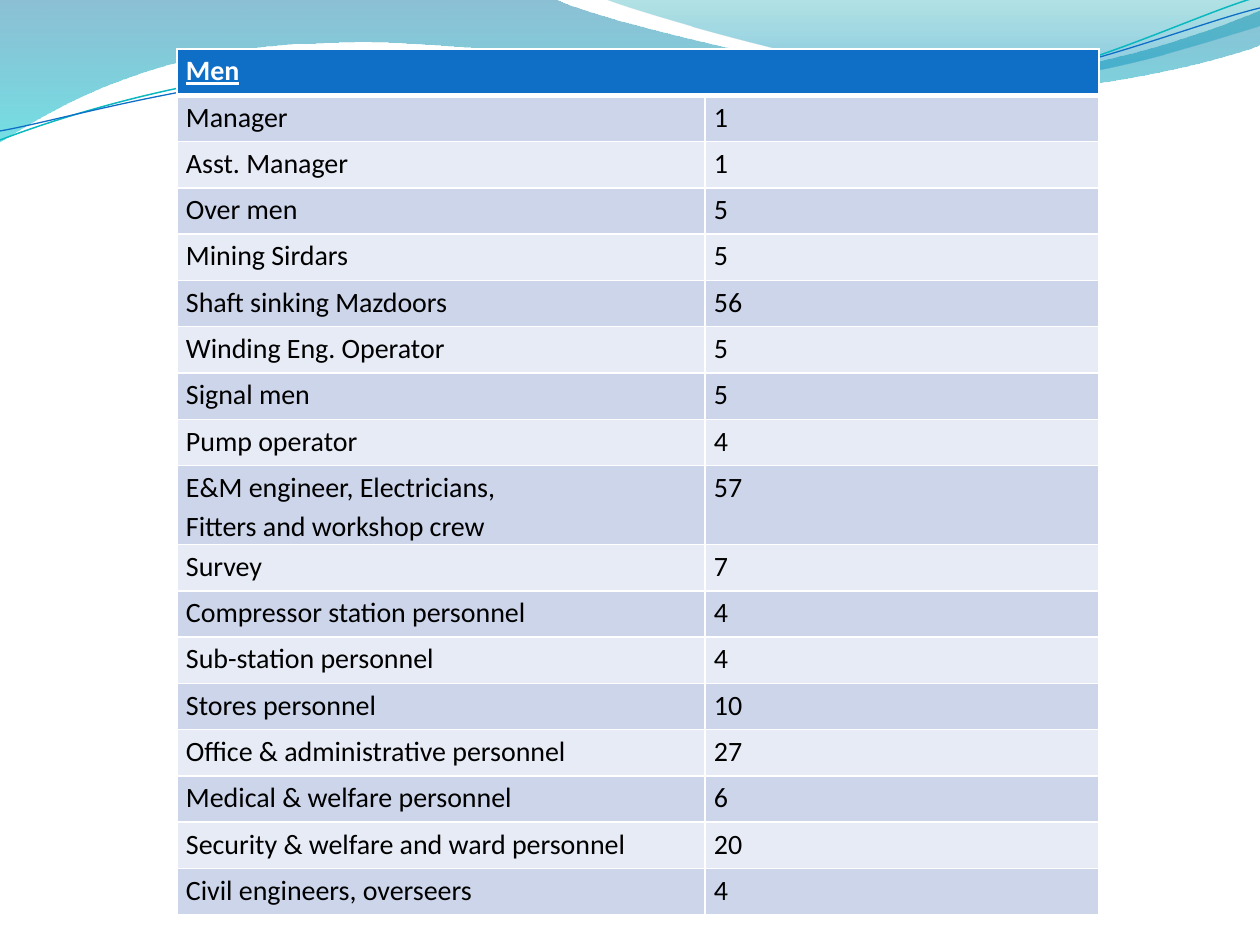
from lxml import etree
from pptx import Presentation
from pptx import util as u
from pptx.dml.color import RGBColor
from pptx.enum import text
from pptx.oxml.ns import qn


def px(value):
    return u.Emu(round(value * 914400 / 126))


def color(hex_string):
    return RGBColor.from_string(hex_string)


prs = Presentation()
prs.slide_width, prs.slide_height = px(1260), px(945)
slide = prs.slides.add_slide(prs.slide_layouts[6])

waves = [
    {"start": (0, 0),
     "steps": [(554, -1), (600, 21, 837, 79, 955, 79), (1075, 79, 1207, 33, 1260, 11),
               (1261, 45), (1237, 55, 1096, 96, 940, 94), (784, 94, 481, 35, 324, 43),
               (163, 45, 58, 105, -1, 142), (0, 0)],
     "gradient": [(0, "0074A1", 45), (1, "00C6CF", 55)]},
    {"start": (604, -1),
     "steps": [(641, 14, 859, 78, 969, 82), (1079, 87, 1211, 40, 1260, 26), (1260, 0),
               (604, -1)],
     "gradient": [(0, "00A1A9", 30), (0.8, "008BBF", 45)]},
    {"start": (0, 140),
     "steps": [(60, 117, 199, 72, 349, 66), (498, 59, 747, 112, 898, 101),
               (1050, 89, 1182, 19, 1257, -3)],
     "line": ("0AB8BF", 0.85)},
    {"start": (0, 131),
     "steps": [(59, 121, 203, 77, 357, 71), (508, 64, 752, 106, 903, 95),
               (1053, 84, 1186, 26, 1260, 8)],
     "line": ("0F6FC6", 0.75)},
]

for wave in waves:
    points = [(px(x), px(y)) for step in wave["steps"] for x, y in zip(step[::2], step[1::2])]
    builder = slide.shapes.build_freeform(*map(px, wave["start"]))
    builder.add_line_segments(points, close="gradient" in wave)
    ribbon = builder.convert_to_shape()
    segments = iter(list(ribbon.element.spPr.iter(qn("a:lnTo"))))
    for step in wave["steps"]:
        segment = next(segments)
        if len(step) == 6:
            segment.addprevious(curve := etree.Element(qn("a:cubicBezTo")))
            for knot in (segment, next(segments), next(segments)):
                curve.append(knot[0])
                knot.getparent().remove(knot)
    ribbon.shadow.inherit = False
    if "gradient" in wave:
        ribbon.line.fill.background()
        ribbon.fill.gradient()
        ribbon.fill.gradient_angle = 270
        for stop, (position, shade, _) in zip(ribbon.fill.gradient_stops, wave["gradient"]):
            stop.position = position
            stop.color.rgb = color(shade)
        shades = list(ribbon.element.spPr.iter(qn("a:srgbClr")))
        for shade, (_, _, opacity) in zip(shades, wave["gradient"]):
            etree.SubElement(shade, qn("a:alpha"), val=str(opacity * 1000))
    else:
        ribbon.fill.background()
        ribbon.line.color.rgb = color(wave["line"][0])
        ribbon.line.width = u.Pt(wave["line"][1])

staff = [
    ("Men", ""),
    ("Manager", "1"),
    ("Asst. Manager", "1"),
    ("Over men", "5"),
    ("Mining Sirdars", "5"),
    ("Shaft sinking Mazdoors", "56"),
    ("Winding Eng. Operator", "5"),
    ("Signal men", "5"),
    ("Pump operator", "4"),
    ("E&M engineer, Electricians,\nFitters and workshop crew", "57"),
    ("Survey", "7"),
    ("Compressor station personnel", "4"),
    ("Sub-station personnel", "4"),
    ("Stores personnel", "10"),
    ("Office & administrative personnel", "27"),
    ("Medical & welfare personnel", "6"),
    ("Security & welfare and ward personnel", "20"),
    ("Civil engineers, overseers", "4"),
]
table_height, tall_row = 866, 79
plain_row = (table_height - tall_row) / (len(staff) - 1)

roster = slide.shapes.add_table(len(staff), 2, px(177), px(49), px(922), px(table_height)).table
roster.horz_banding = False
roster.columns[0].width, roster.columns[1].width = px(528), px(394)
roster.cell(0, 0).merge(roster.cell(0, 1))

for r, entry in enumerate(staff):
    header = r == 0
    roster.rows[r].height = px(tall_row if "\n" in entry[0] else plain_row)
    for c, words in enumerate(entry):
        cell = roster.cell(r, c)
        cell.text = words
        cell.margin_left = cell.margin_right = px(9)
        cell.margin_top = cell.margin_bottom = 0
        borders = {"L": 1, "R": 1, "T": 3 if r == 1 else 1, "B": 3 if header else 1}
        for side, points in borders.items():
            edge = etree.SubElement(cell._tc.get_or_add_tcPr(), qn(f"a:ln{side}"),
                                    w=str(u.Pt(points)))
            edge_fill = etree.SubElement(edge, qn("a:solidFill"))
            etree.SubElement(edge_fill, qn("a:srgbClr"), val="FFFFFF")
        cell.fill.solid()
        cell.fill.fore_color.rgb = color("0F6FC6" if header else ("E7EBF5", "CCD5EA")[r % 2])
        for paragraph in cell.text_frame.paragraphs:
            paragraph.alignment = text.PP_ALIGN.JUSTIFY
            paragraph.line_spacing = 1.15
            font = paragraph.font
            font.name, font.size = "Calibri", u.Pt(16)
            font.bold = font.underline = header
            font.color.rgb = color("FFFFFF" if header else "000000")

prs.save("out.pptx")
